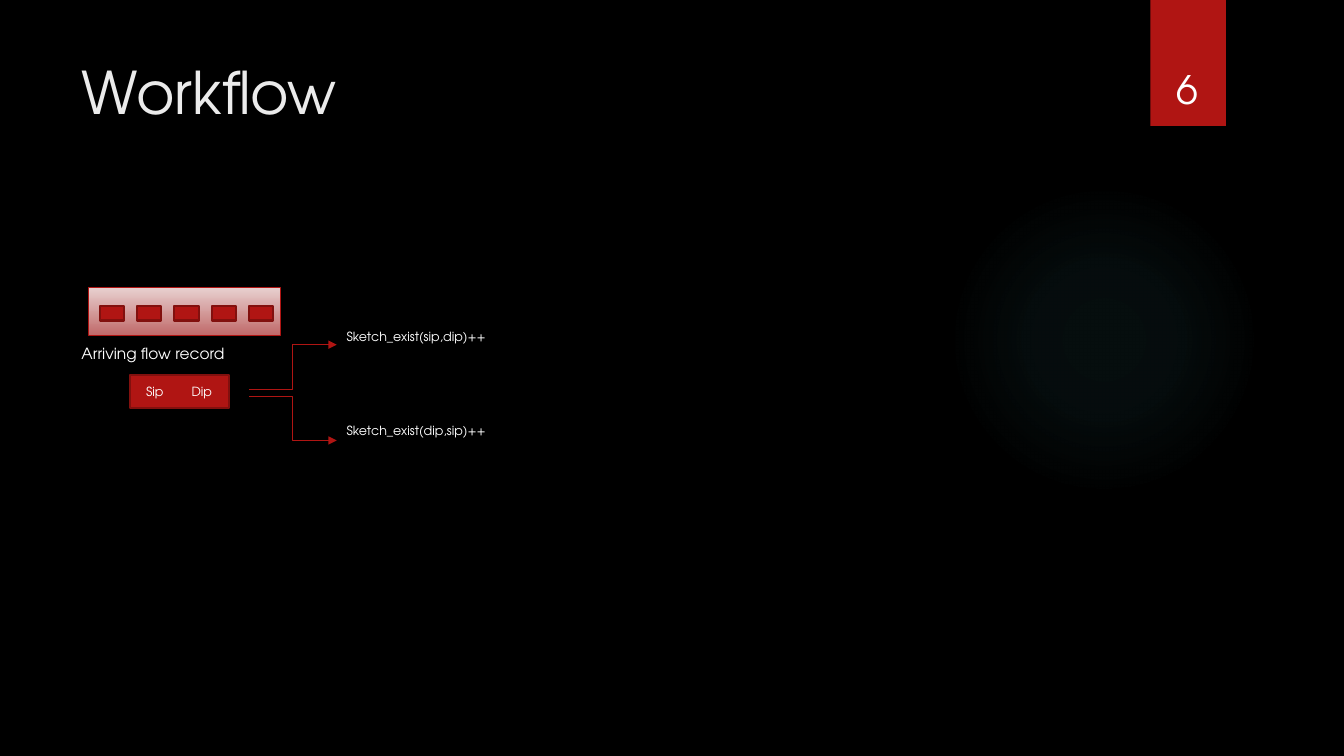
from lxml import etree
from pptx import Presentation
from pptx.dml.color import RGBColor
from pptx.enum.shapes import MSO_CONNECTOR, MSO_SHAPE
from pptx.enum.text import MSO_ANCHOR, PP_ALIGN
from pptx.oxml import parse_xml
from pptx.oxml.ns import nsdecls, qn
from pptx.util import Inches, Pt

FONT = "TeX Gyre Adventor"
BLACK = RGBColor(0x00, 0x00, 0x00)
WHITE = RGBColor(0xFF, 0xFF, 0xFF)
TITLE_GRAY = RGBColor(0xEB, 0xEB, 0xEB)
RED = RGBColor(0xB0, 0x15, 0x13)
DARK_RED = RGBColor(0x82, 0x10, 0x0E)
TRAY_TOP = RGBColor(0xE8, 0xD1, 0xD0)
TRAY_BOTTOM = RGBColor(0xC0, 0x69, 0x69)
GLOW = RGBColor(0x50, 0xB9, 0xC1)

TITLE = "Workflow"
PAGE_NUMBER = "6"
RECORD_FIELDS = "Sip\tDip"
# text, left, top, width, height, size
LABELS = [
    ("Arriving flow record", 0.71, 3.36, 3.12, 0.29, 11),
    ("Sketch_exist(sip,dip)++", 3.34, 3.21, 3.61, 0.25, 9),
    ("Sketch_exist(dip,sip)++", 3.34, 4.15, 3.61, 0.25, 9),
]
ARROW_HEIGHTS = [(3.86, 3.42), (3.93, 4.37)]  # start, end
ARROW_LEFT, ARROW_RIGHT = 2.47, 3.34
GLOW_STOPS = [(0, 7), (36, 6), (69, 0)]  # position, opacity in percent
RECORD_COUNT, RECORD_LEFT, RECORD_STEP = 5, 0.99, 0.37


def write(shape, text, size, color=WHITE, align=PP_ALIGN.LEFT,
          anchor=MSO_ANCHOR.TOP):
    frame = shape.text_frame
    frame.word_wrap = True
    frame.vertical_anchor = anchor
    para = frame.paragraphs[0]
    para.alignment = align
    span = para.add_run()
    span.text = text
    span.font.name = FONT
    span.font.size = Pt(size)
    span.font.color.rgb = color
    return para


def add_box(page, left, top, width, height, fill=None, line=None, weight=1.5,
            kind=MSO_SHAPE.RECTANGLE):
    box = page.shapes.add_shape(kind, *map(Inches, (left, top, width, height)))
    box.shadow.inherit = False
    if fill is not None:
        box.fill.solid()
        box.fill.fore_color.rgb = fill
    if line is None:
        box.line.fill.background()
    else:
        box.line.color.rgb = line
        box.line.width = Pt(weight)
    return box


def add_text(page, text, left, top, width, height, size, **style):
    box = page.shapes.add_textbox(*map(Inches, (left, top, width, height)))
    write(box, text, size, **style)


def add_glow(page):
    """Add the faint round light, a radial gradient that fades out."""
    disc = add_box(page, 9.41, 1.83, 3.08, 3.08, kind=MSO_SHAPE.OVAL)
    stops = "".join(
        f'<a:gs pos="{place * 1000}"><a:srgbClr val="{GLOW}">'
        f'<a:alpha val="{opacity * 1000}"/></a:srgbClr></a:gs>'
        for place, opacity in GLOW_STOPS)
    gradient = parse_xml(
        f'<a:gradFill {nsdecls("a")}><a:gsLst>{stops}</a:gsLst>'
        '<a:path path="circle"><a:fillToRect l="50000" t="50000" '
        'r="50000" b="50000"/></a:path></a:gradFill>')
    disc._element.spPr.find(qn("a:prstGeom")).addnext(gradient)


def add_arrow(page, start, end):
    arrow = page.shapes.add_connector(
        MSO_CONNECTOR.ELBOW, Inches(ARROW_LEFT), Inches(start),
        Inches(ARROW_RIGHT), Inches(end))
    arrow.line.color.rgb = RED
    arrow.line.width = Pt(0.75)
    etree.SubElement(arrow.line._get_or_add_ln(), qn("a:tailEnd"),
                     type="triangle")
    etree.SubElement(arrow._element.spPr, qn("a:effectLst"))


def add_record_tray(page):
    tray = add_box(page, 0.88, 2.85, 1.9, 0.48, line=RED, weight=0.75)
    tray.fill.gradient()
    tray.fill.gradient_angle = 270
    for stop, color in zip(tray.fill.gradient_stops, (TRAY_TOP, TRAY_BOTTOM)):
        stop.color.rgb = color
    for index in range(RECORD_COUNT):
        add_box(page, RECORD_LEFT + index * RECORD_STEP, 3.04, 0.24, 0.14,
                fill=RED, line=DARK_RED)


def add_open_record(page):
    record = add_box(page, 1.29, 3.72, 0.98, 0.33, fill=RED, line=DARK_RED)
    para = write(record, RECORD_FIELDS, 9, anchor=MSO_ANCHOR.MIDDLE)
    record.text_frame.margin_left = Inches(0.16)
    record.text_frame.margin_right = 0
    tabs = etree.SubElement(para._p.get_or_add_pPr(), qn("a:tabLst"))
    etree.SubElement(tabs, qn("a:tab"), pos=str(Inches(0.45)), algn="l")


def main():
    deck = Presentation()
    deck.slide_width, deck.slide_height = Inches(13.33), Inches(7.5)
    page = deck.slides.add_slide(deck.slide_layouts[5])
    page.background.fill.solid()
    page.background.fill.fore_color.rgb = BLACK

    add_glow(page)
    add_box(page, 11.41, 0, 0.75, 1.25, fill=RED)
    title = page.shapes.title
    title.left, title.top = Inches(0.71), Inches(0.5)
    title.width, title.height = Inches(10.29), Inches(1.53)
    write(title, TITLE, 42, color=TITLE_GRAY)
    add_text(page, PAGE_NUMBER, 11.32, 0.32, 0.92, 0.84, 28,
             align=PP_ALIGN.CENTER, anchor=MSO_ANCHOR.BOTTOM)

    add_record_tray(page)
    add_open_record(page)
    for start, end in ARROW_HEIGHTS:
        add_arrow(page, start, end)
    for label in LABELS:
        add_text(page, *label)
    deck.save("out.pptx")


if __name__ == "__main__":
    main()
